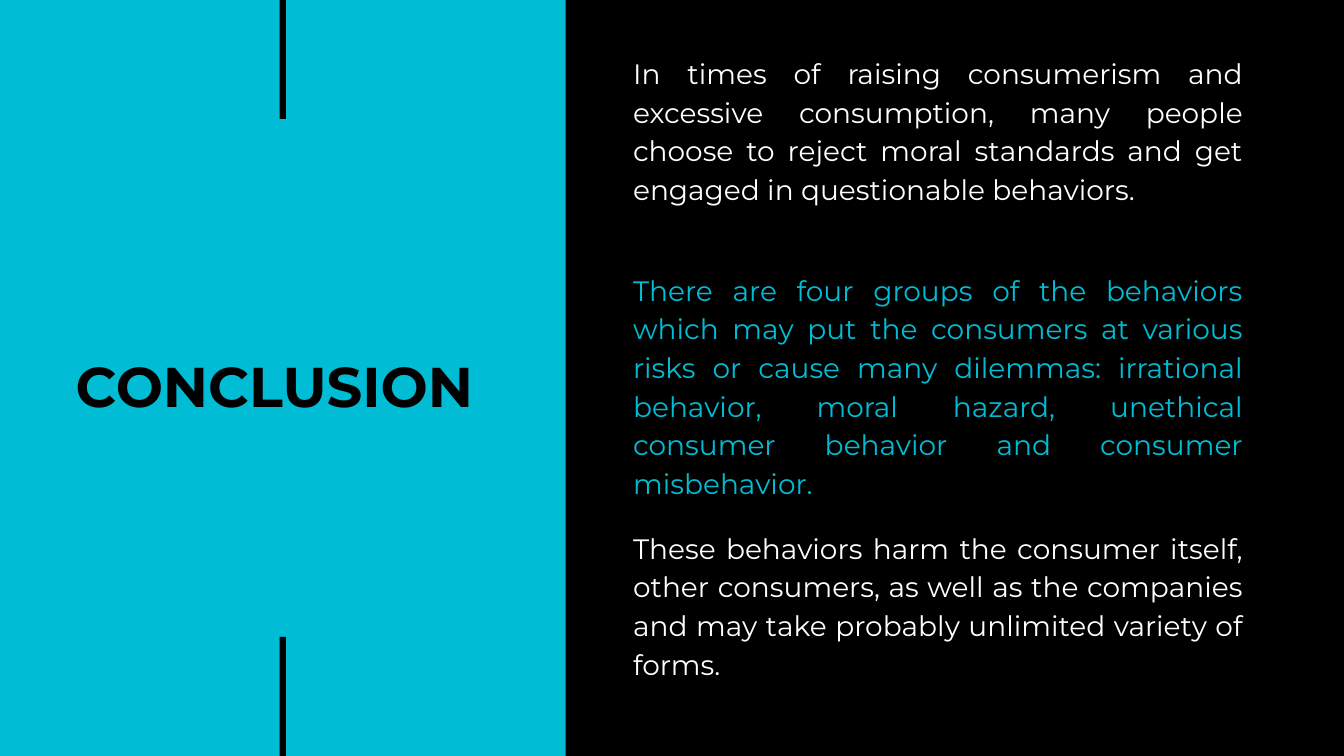
import pptx
import pptx.util
import pptx.dml.color
import pptx.enum.shapes
import pptx.enum.text
from dataclasses import dataclass

Pt = pptx.util.Pt
Align = pptx.enum.text.PP_ALIGN
Anchor = pptx.enum.text.MSO_ANCHOR


@dataclass(frozen=True)
class Theme:
    font: str = "Montserrat"
    cyan: str = "00BCD4"
    black: str = "000000"
    white: str = "FFFFFF"
    title_size: int = 40
    body_size: int = 20
    title_spacing: float = 1.26
    body_spacing: float = 1.15


THEME = Theme()
WIDTH, HEIGHT = 960, 540

TITLE = "CONCLUSION "
# (top, height, colour, text)
STATEMENTS = [
    (36.7, 138, THEME.white,
     "In times of raising consumerism and excessive consumption, many people "
     "choose to reject moral standards and get engaged in questionable behaviors. "),
    (191.5, 166, THEME.cyan,
     "There are four groups of the behaviors which may put the consumers at "
     "various risks or cause many dilemmas: irrational behavior, moral hazard, "
     "unethical consumer behavior and consumer misbehavior."),
    (375.8, 115, THEME.white,
     "These behaviors harm the consumer itself, other consumers, as well as the "
     "companies and may take probably unlimited variety of forms."),
]

PANEL_LEFT = 404
BODY_LEFT, BODY_WIDTH = 452.2, 435.6
TITLE_BOX = (7.9, 205.9, 387.4, 125.3)
BAR_WIDTH, BAR_HEIGHT = 4.5, 85
BAR_LEFT = (PANEL_LEFT - BAR_WIDTH) / 2


def rgb(colour):
    return pptx.dml.color.RGBColor.from_string(colour)


def add_block(s, left, top, width, height):
    sp = s.shapes.add_shape(pptx.enum.shapes.MSO_SHAPE.RECTANGLE,
                            Pt(left), Pt(top), Pt(width), Pt(height))
    sp.shadow.inherit = False
    sp.fill.solid()
    sp.fill.fore_color.rgb = rgb(THEME.black)
    sp.line.fill.background()


def write(sp, text, size, colour, align, spacing, anchor=Anchor.TOP, bold=False):
    tf = sp.text_frame
    tf.word_wrap = True
    tf.auto_size = pptx.enum.text.MSO_AUTO_SIZE.NONE
    tf.vertical_anchor = anchor
    tf.margin_left = tf.margin_top = tf.margin_right = tf.margin_bottom = 0
    p = tf.paragraphs[0]
    p.alignment = align
    p.line_spacing = spacing
    r = p.add_run()
    r.text = text
    r.font.name = THEME.font
    r.font.size = Pt(size)
    r.font.bold = bold
    r.font.color.rgb = rgb(colour)


def main():
    prs = pptx.Presentation()
    prs.slide_width, prs.slide_height = Pt(WIDTH), Pt(HEIGHT)
    s = prs.slides.add_slide(prs.slide_layouts.get_by_name("Title Only"))
    s.background.fill.solid()
    s.background.fill.fore_color.rgb = rgb(THEME.cyan)

    title = s.shapes.title
    title.left, title.top, title.width, title.height = map(Pt, TITLE_BOX)
    write(title, TITLE, THEME.title_size, THEME.black, Align.CENTER,
          THEME.title_spacing, Anchor.MIDDLE, bold=True)

    add_block(s, PANEL_LEFT, 0, WIDTH - PANEL_LEFT, HEIGHT)
    for top in (0, HEIGHT - BAR_HEIGHT):
        add_block(s, BAR_LEFT, top, BAR_WIDTH, BAR_HEIGHT)

    for top, height, colour, text in STATEMENTS:
        box = s.shapes.add_textbox(Pt(BODY_LEFT), Pt(top), Pt(BODY_WIDTH), Pt(height))
        write(box, text, THEME.body_size, colour, Align.JUSTIFY, THEME.body_spacing)

    prs.save("out.pptx")


if __name__ == "__main__":
    main()
